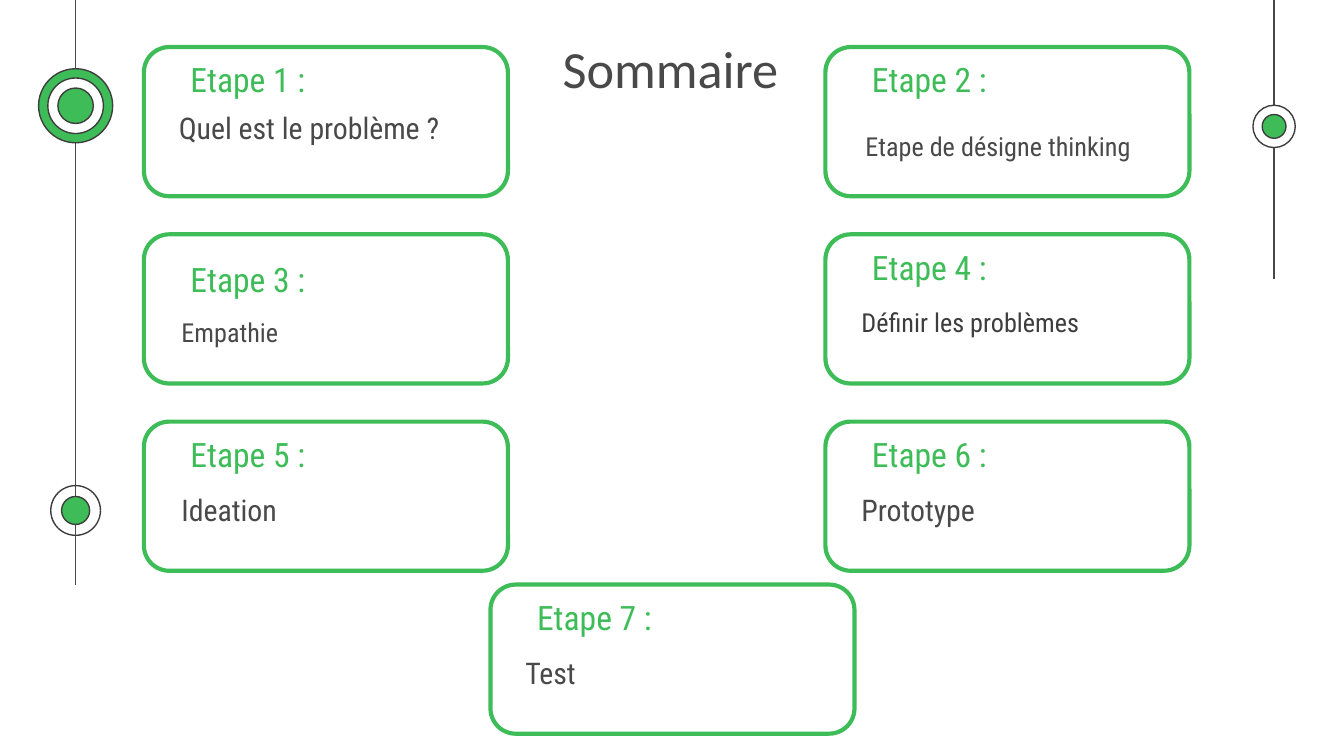
"""Build the "Sommaire" slide: seven step cards between two timelines."""
from lxml import etree
from pptx import Presentation
from pptx.dml.color import RGBColor
from pptx.enum.shapes import MSO_CONNECTOR, MSO_SHAPE
from pptx.enum.text import MSO_ANCHOR, MSO_AUTO_SIZE, PP_ALIGN
from pptx.oxml.ns import qn
from pptx.util import Cm, Pt

STRAIGHT = MSO_CONNECTOR.STRAIGHT
OVAL, ROUNDED = MSO_SHAPE.OVAL, MSO_SHAPE.ROUNDED_RECTANGLE
TOP, MIDDLE = MSO_ANCHOR.TOP, MSO_ANCHOR.MIDDLE
LEFT, CENTER = PP_ALIGN.LEFT, PP_ALIGN.CENTER
NO_FIT = MSO_AUTO_SIZE.NONE

GREEN, GREY, DARK, WHITE = "3DBC58", "494949", "3D3D3D", "FFFFFF"
CARD_WIDTH, CARD_HEIGHT = 6.88, 2.82
LEFT_COLUMN, MIDDLE_COLUMN, RIGHT_COLUMN = 2.72, 9.27, 15.6
ROWS = [0.89 + 3.54 * row for row in range(3)]
LAST_ROW = 11.05


def color(hex_value):
    return RGBColor.from_string(hex_value)


class SummarySlide:
    def __init__(self, slide, font="Roboto Condensed"):
        self.slide = slide
        self.shapes = slide.shapes
        self.font = font

    def set_text(self, box, text, size, ink, font=None, align=LEFT, anchor=TOP):
        frame = box.text_frame
        frame.text = text
        frame.word_wrap = True
        frame.auto_size = NO_FIT
        frame.vertical_anchor = anchor
        frame.margin_left = frame.margin_right = Cm(0.25)
        frame.margin_top = frame.margin_bottom = Cm(0.25)
        paragraph = frame.paragraphs[0]
        paragraph.alignment = align
        for run in paragraph.runs:
            run.font.name = font or self.font
            run.font.size = Pt(size)
            run.font.color.rgb = color(ink)

    def title(self, text, left, top, width, height):
        heading = self.shapes.title
        heading.left, heading.top = Cm(left), Cm(top)
        heading.width, heading.height = Cm(width), Cm(height)
        self.set_text(heading, text, 28, GREY, "Calibri", CENTER)

    def label(self, text, left, top, width, height, size, ink, **style):
        box = self.shapes.add_textbox(Cm(left), Cm(top), Cm(width), Cm(height))
        self.set_text(box, text, size, ink, **style)

    def outline(self, kind, left, top, width, height, fill, ink, weight):
        shape = self.shapes.add_shape(kind, Cm(left), Cm(top), Cm(width), Cm(height))
        shape.shadow.inherit = False
        if fill:
            shape.fill.solid()
            shape.fill.fore_color.rgb = color(fill)
        else:
            shape.fill.background()
        shape.line.color.rgb = color(ink)
        shape.line.width = Pt(weight)
        return shape

    def timeline(self, x, bottom):
        line = self.shapes.add_connector(STRAIGHT, Cm(x), Cm(0), Cm(x), Cm(bottom))
        line.line.color.rgb = color(GREY)
        line.line.width = Pt(0.75)
        etree.SubElement(line._element.spPr, qn("a:effectLst"))

    def marker(self, x, y, rings):
        for diameter, fill in rings:
            radius = diameter / 2
            self.outline(OVAL, x - radius, y - radius, diameter, diameter, fill, DARK, 0.75)

    def card(self, number, left, top, text, size, dx, dy,
             width=6.07, heading_dy=-0.02, ink=GREY, anchor=MIDDLE, align=LEFT):
        frame = self.outline(ROUNDED, left, top, CARD_WIDTH, CARD_HEIGHT, None, GREEN, 2.25)
        frame.adjustments[0] = 0.17
        self.label(f"Etape {number} :", left + 0.63, top + heading_dy, 6.07, 1.27, 18, GREEN)
        self.label(text, left + dx, top + dy, width, 1.7, size, ink, anchor=anchor, align=align)


def main():
    deck = Presentation()
    deck.slide_width, deck.slide_height = Cm(25.4), Cm(14.29)
    summary = SummarySlide(deck.slides.add_slide(deck.slide_layouts[5]))

    left_axis, right_axis = 1.43, 24.08
    summary.timeline(left_axis, 11.05)
    summary.timeline(right_axis, 5.28)
    summary.marker(left_axis, 9.65, [(0.94, None), (0.53, GREEN)])
    summary.marker(right_axis, 2.39, [(0.8, WHITE), (0.45, GREEN)])
    summary.marker(left_axis, 2, [(1.4, GREEN), (1.05, WHITE), (0.67, GREEN)])

    summary.title("Sommaire", 8.2, 0.43, 8.94, 1.6)
    summary.card(1, LEFT_COLUMN, ROWS[0], "Quel est le problème ?", 16, 0.41, 0.94, anchor=TOP)
    summary.card(2, RIGHT_COLUMN, ROWS[0], "Etape de désigne thinking", 14, 0.23, 1.02, align=CENTER)
    summary.card(3, LEFT_COLUMN, ROWS[1], "Empathie", 14, 0.46, 0.99, width=6.43, heading_dy=0.22)
    summary.card(4, RIGHT_COLUMN, ROWS[1], "Définir les problèmes", 14, 0.43, 0.81, ink=DARK)
    summary.card(5, LEFT_COLUMN, ROWS[2], "Ideation", 16, 0.46, 0.81, width=6.25)
    summary.card(6, RIGHT_COLUMN, ROWS[2], "Prototype", 16, 0.43, 0.81)
    summary.card(7, MIDDLE_COLUMN, LAST_ROW, "Test", 16, 0.41, 0.81)
    deck.save("out.pptx")


if __name__ == "__main__":
    main()
